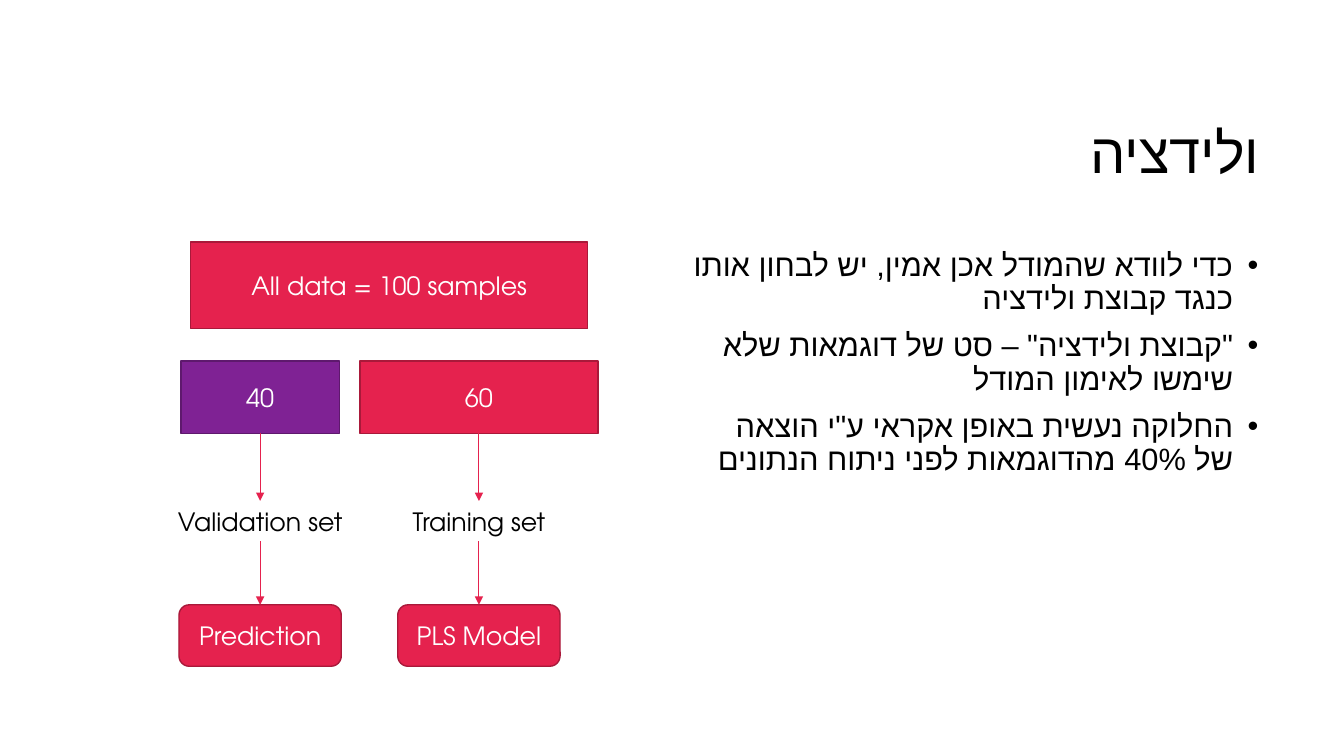
from dataclasses import dataclass

from lxml import etree
from pptx import Presentation
from pptx.dml.color import RGBColor
from pptx.enum.shapes import MSO_CONNECTOR as Link, MSO_SHAPE as Preset
from pptx.enum.text import MSO_ANCHOR as Anchor, MSO_AUTO_SIZE as AutoSize, PP_ALIGN as Align
from pptx.oxml.ns import qn
from pptx.shapes.autoshape import Shape
from pptx.slide import Slide
from pptx.text.text import TextFrame
from pptx.util import Inches, Pt


@dataclass(frozen=True)
class Theme:
    font: str = "TeX Gyre Adventor"
    hebrew_font: str = "Arial"
    text: str = "000000"
    light: str = "FFFFFF"
    red: str = "E5224E"
    red_edge: str = "A9193A"
    purple: str = "7F2294"
    purple_edge: str = "5E196D"
    title_size: float = 40
    body_size: float = 22
    label_size: float = 18
    edge_width: float = 1
    arrow_width: float = 0.75


@dataclass(frozen=True)
class Box:
    text: str
    center: float
    top: float
    width: float
    height: float
    preset: Preset = Preset.RECTANGLE
    fill: str = ""
    edge: str = ""


@dataclass(frozen=True)
class Branch:
    center: float
    count: str
    count_width: float
    set_name: str
    set_width: float
    outcome: str
    fill: str
    edge: str


THEME = Theme()
COUNT_TOP, COUNT_HEIGHT = 3.58, 0.72
SET_TOP, SET_HEIGHT = 4.97, 0.4
OUTCOME_TOP, OUTCOME_WIDTH, OUTCOME_HEIGHT = 6, 1.61, 0.61
BULLET_INDENT = 0.25

TITLE = "ולידציה"
POINTS = [
    "כדי לוודא שהמודל אכן אמין, יש לבחון אותו כנגד קבוצת ולידציה",
    "\"קבוצת ולידציה\" – סט של דוגמאות שלא שימשו לאימון המודל",
    "החלוקה נעשית באופן אקראי ע\"י הוצאה של 40% מהדוגמאות לפני ניתוח הנתונים",
]
ALL_DATA = Box("All data = 100 samples", 3.86, 2.4, 3.94, 0.86,
               fill=THEME.red, edge=THEME.red_edge)
BRANCHES = [
    Branch(2.58, "40", 1.57, "Validation set", 1.88, "Prediction",
           THEME.purple, THEME.purple_edge),
    Branch(4.75, "60", 2.36, "Training set", 1.68, "PLS Model",
           THEME.red, THEME.red_edge),
]


def add_text(frame: TextFrame, text: str, size: float, color: str) -> None:
    """Add a centred run to the first paragraph."""
    paragraph = frame.paragraphs[0]
    paragraph.alignment = Align.CENTER
    run = paragraph.add_run()
    run.text = text
    run.font.name = THEME.font
    run.font.size = Pt(size)
    run.font.color.rgb = RGBColor.from_string(color)


def add_hebrew(slide: Slide, left: float, top: float, width: float, height: float,
               lines: list[str], size: float, bulleted: bool) -> TextFrame:
    """Add a right-to-left text box, one paragraph per line."""
    frame = slide.shapes.add_textbox(
        Inches(left), Inches(top), Inches(width), Inches(height)).text_frame
    frame.word_wrap = True
    for index, line in enumerate(lines):
        paragraph = frame.add_paragraph() if index else frame.paragraphs[0]
        paragraph.alignment = Align.RIGHT
        paragraph.line_spacing = 0.9
        if index:
            paragraph.space_before = Pt(10)
        properties = paragraph._p.get_or_add_pPr()
        properties.set("rtl", "1")
        if bulleted:
            properties.set("marL", str(Inches(BULLET_INDENT)))
            properties.set("indent", str(-Inches(BULLET_INDENT)))
            etree.SubElement(properties, qn("a:buFont"), typeface="Arial")
            etree.SubElement(properties, qn("a:buChar"), char="•")
        run = paragraph.add_run()
        run.text = line
        run.font.name = THEME.font
        run.font.size = Pt(size)
        run.font.color.rgb = RGBColor.from_string(THEME.text)
        run_properties = run._r.get_or_add_rPr()
        run_properties.set("lang", "he-IL")
        etree.SubElement(run_properties, qn("a:cs"), typeface=THEME.hebrew_font)
    return frame


def add_box(slide: Slide, box: Box) -> Shape:
    """Add a filled box, or a plain label when the box has no fill."""
    place = (Inches(box.center - box.width / 2), Inches(box.top),
             Inches(box.width), Inches(box.height))
    if not box.fill:
        label = slide.shapes.add_textbox(*place)
        label.text_frame.word_wrap = False
        label.text_frame.auto_size = AutoSize.SHAPE_TO_FIT_TEXT
        add_text(label.text_frame, box.text, THEME.label_size, THEME.text)
        return label
    block = slide.shapes.add_shape(box.preset, *place)
    block.shadow.inherit = False
    block.fill.solid()
    block.fill.fore_color.rgb = RGBColor.from_string(box.fill)
    block.line.color.rgb = RGBColor.from_string(box.edge)
    block.line.width = Pt(THEME.edge_width)
    block.text_frame.word_wrap = True
    block.text_frame.vertical_anchor = Anchor.MIDDLE
    add_text(block.text_frame, box.text, THEME.label_size, THEME.light)
    return block


def add_arrow(slide: Slide, upper: Shape, lower: Shape) -> None:
    """Join the bottom of the upper box to the top of the lower one."""
    arrow = slide.shapes.add_connector(Link.STRAIGHT, 0, 0, 0, 0)
    arrow.begin_connect(upper, 2)
    arrow.end_connect(lower, 0)
    arrow.line.color.rgb = RGBColor.from_string(THEME.red)
    arrow.line.width = Pt(THEME.arrow_width)
    etree.SubElement(arrow.line._get_or_add_ln(), qn("a:tailEnd"), type="triangle")
    etree.SubElement(arrow._element.spPr, qn("a:effectLst"))


def add_branch(slide: Slide, branch: Branch) -> None:
    """Draw one column: sample count, set name, outcome."""
    steps = [
        Box(branch.count, branch.center, COUNT_TOP, branch.count_width, COUNT_HEIGHT,
            fill=branch.fill, edge=branch.edge),
        Box(branch.set_name, branch.center, SET_TOP, branch.set_width, SET_HEIGHT),
        Box(branch.outcome, branch.center, OUTCOME_TOP, OUTCOME_WIDTH, OUTCOME_HEIGHT,
            Preset.ROUNDED_RECTANGLE, THEME.red, THEME.red_edge),
    ]
    count, set_name, outcome = [add_box(slide, step) for step in steps]
    add_arrow(slide, count, set_name)
    add_arrow(slide, set_name, outcome)


def main() -> None:
    deck = Presentation()
    deck.slide_width, deck.slide_height = Inches(13.33), Inches(7.5)
    slide = deck.slides.add_slide(deck.slide_layouts[6])

    # Title and explanation
    title = add_hebrew(slide, 3.17, 0.84, 9.42, 1.41, [TITLE], THEME.title_size, False)
    title.vertical_anchor = Anchor.MIDDLE
    add_hebrew(slide, 6.75, 2.43, 5.83, 4.4, POINTS, THEME.body_size, True)

    # Data split diagram
    add_box(slide, ALL_DATA)
    for branch in BRANCHES:
        add_branch(slide, branch)

    deck.save("out.pptx")


if __name__ == "__main__":
    main()
